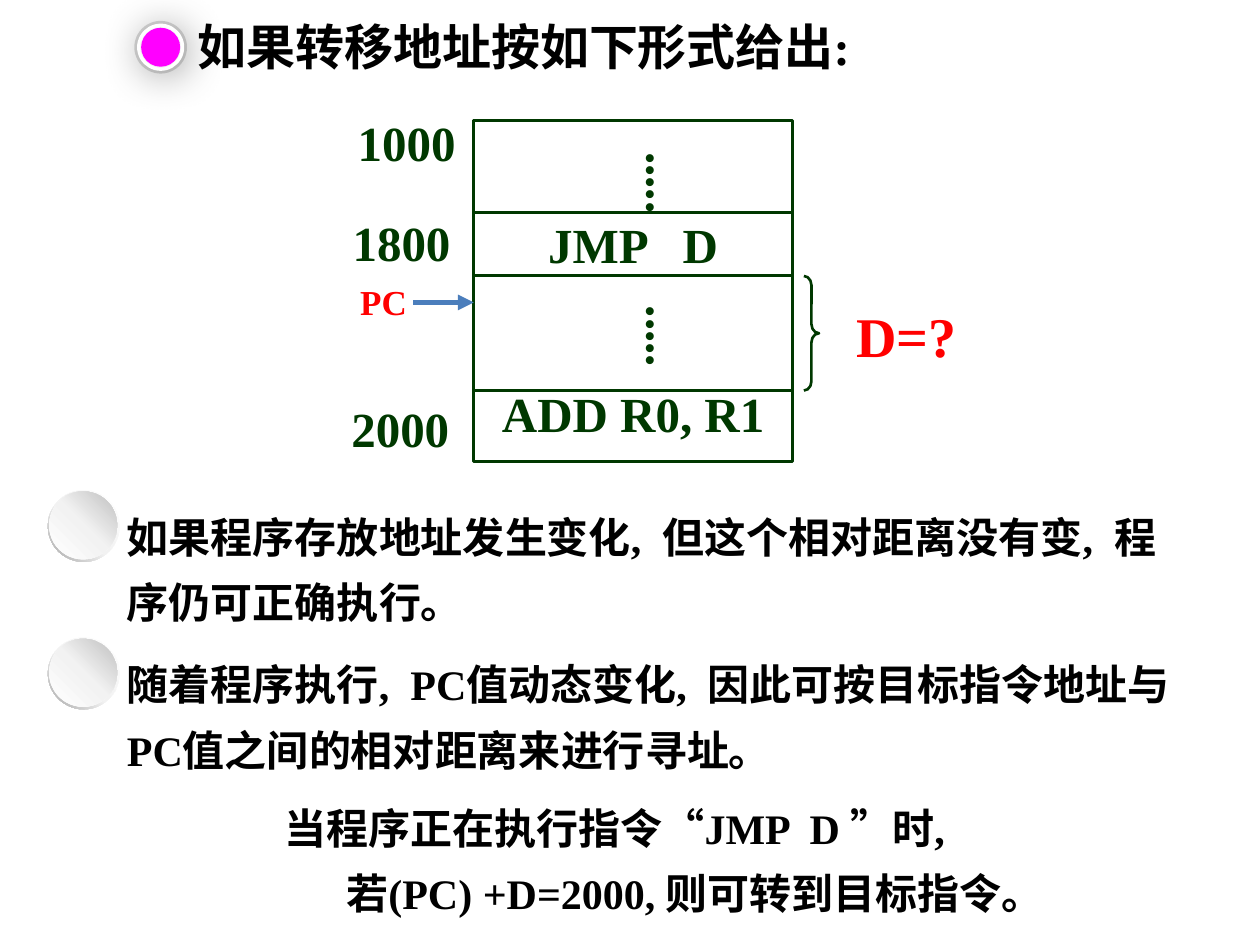
from dataclasses import dataclass

from lxml.etree import SubElement
from pptx import Presentation
from pptx.dml.color import RGBColor
from pptx.enum.shapes import MSO_CONNECTOR, MSO_SHAPE
from pptx.enum.text import MSO_ANCHOR, PP_ALIGN
from pptx.oxml import parse_xml
from pptx.oxml.ns import nsdecls, qn
from pptx.util import Inches, Pt


@dataclass(frozen=True)
class Theme:
    font: str = "Times New Roman"
    ink: str = "000000"
    green: str = "003800"
    red: str = "FF0000"
    blue: str = "4B7EBC"
    magenta: str = "FF00FF"
    white: str = "FFFFFF"
    ring: str = "D9D9D9"
    glow: tuple = ((0, "F6F9FC"), (100, "F2F2F2"))
    rim: tuple = ((0, "FFFFFF"), (55, "F2F2F2"), (100, "A6A6A6"))
    pearl: tuple = ((0, "FFFFFF"), (51, "F2F2F2"), (100, "BFBFBF"))
    title: int = 28
    code: int = 28
    body: int = 24
    question: int = 32
    pointer: int = 20
    stroke: float = 1.75


T = Theme()


def rgb(value):
    return RGBColor.from_string(value)


def style(p, size, color):
    p.font.name, p.font.size, p.font.bold = T.font, Pt(size), True
    p.font.color.rgb = rgb(color)


def add_text(s, box, text, size, color=T.ink, spacing=None):
    tf = s.shapes.add_textbox(*map(Inches, box)).text_frame
    tf.word_wrap = True
    p = tf.paragraphs[0]
    p.text = text
    style(p, size, color)
    if spacing:
        p.line_spacing = spacing
    return tf


def add_shape(s, kind, box, fill=None, line=None, width=T.stroke):
    sp = s.shapes.add_shape(kind, *map(Inches, box))
    sp.shadow.inherit = False
    if fill:
        sp.fill.solid()
        sp.fill.fore_color.rgb = rgb(fill)
    else:
        sp.fill.background()
    if line:
        sp.line.color.rgb = rgb(line)
        sp.line.width = Pt(width)
    else:
        sp.line.fill.background()
    return sp


def add_line(s, start, end, color, width):
    ends = map(Inches, (*start, *end))
    line = s.shapes.add_connector(MSO_CONNECTOR.STRAIGHT, *ends)
    line.line.color.rgb = rgb(color)
    line.line.width = Pt(width)
    SubElement(line._element.spPr, qn("a:effectLst"))
    return line


def set_gradient(sp, stops, angle):
    """Fill with (percent, colour) stops; the angle runs clockwise."""
    gs = "".join(f'<a:gs pos="{pos * 1000}"><a:srgbClr val="{color}"/></a:gs>'
                 for pos, color in stops)
    grad = parse_xml(f'<a:gradFill {nsdecls("a")}><a:gsLst>{gs}</a:gsLst>'
                     f'<a:lin ang="{angle * 60000}" scaled="0"/></a:gradFill>')
    spPr = sp._element.spPr
    spPr.replace(spPr.find(qn("a:noFill")), grad)


def set_shadow(sp, blur, distance, angle, alpha):
    effects = sp._element.spPr.find(qn("a:effectLst"))
    effects.append(parse_xml(
        f'<a:outerShdw {nsdecls("a")} blurRad="{Pt(blur)}" dist="{Pt(distance)}" '
        f'dir="{angle * 60000}" algn="tl" rotWithShape="0">'
        f'<a:srgbClr val="{T.ink}"><a:alpha val="{alpha * 1000}"/></a:srgbClr>'
        '</a:outerShdw>'))


def heading(s, x, y):
    """Magenta button with the title to its right."""
    def disc(inset, **look):
        size = 0.39 - 2 * inset
        return add_shape(s, MSO_SHAPE.OVAL, (x + inset, y + inset, size, size), **look)

    disc(0, line=T.ring, width=2)
    halo = disc(0.02, line=T.white)
    set_gradient(halo, T.glow, 90)
    set_shadow(halo, blur=24, distance=3, angle=45, alpha=39)
    disc(0.04, fill=T.magenta)
    add_text(s, (x + 0.39, y - 0.1, 6.61, 0.57), "如果转移地址按如下形式给出:", T.title)


def memory_map(s, x, y, w, h):
    """Memory block with its addresses, program counter and jump distance."""
    right = x + w
    jump_top, jump_bottom, target_top = y + 0.73, y + 1.23, y + 2.14

    block = add_shape(s, MSO_SHAPE.RECTANGLE, (x, y, w, h), line=T.green)
    tf = block.text_frame
    tf.vertical_anchor = MSO_ANCHOR.TOP
    tf.margin_top = Inches(0.74)
    tf.text = "JMP   D\nADD R0, R1"
    for p in tf.paragraphs:
        style(p, T.code, T.green)
        p.alignment = PP_ALIGN.CENTER
    tf.paragraphs[1].space_before = Pt(63)

    for row in (jump_top, jump_bottom, target_top):
        add_line(s, (x, row), (right, row), T.green, T.stroke)
    for top in (y + 0.15, y + 1.37):
        dots = add_text(s, (x + 1.14, top, 0.67, 0.82), ".....", T.code, T.green)
        dots._txBody.bodyPr.set("vert", "eaVert")

    labels = (("1000", 2.74, 0.84), ("1800", 2.7, 1.64), ("2000", 2.69, 3.11))
    for address, left, top in labels:
        add_text(s, (left, top, 1.05, 0.57), address, T.code, T.green)

    add_text(s, (x - 1, jump_bottom - 0.01, 0.68, 0.44), "PC", T.pointer, T.red)
    arrow = add_line(s, (x - 0.48, y + 1.44), (x, y + 1.44), T.blue, 3)
    SubElement(arrow.line._get_or_add_ln(), qn("a:tailEnd"), type="triangle")

    brace = add_shape(s, MSO_SHAPE.RIGHT_BRACE,
                      (right + 0.09, jump_bottom, 0.12, target_top - jump_bottom),
                      line=T.green, width=1.5)
    brace.adjustments[0], brace.adjustments[1] = 0.61, 0.5
    add_text(s, (right + 0.41, y + 1.38, 1.1, 0.64), "D=?", T.question, T.red)


def remark(s, x, y, w, text):
    """Pearl bullet followed by a two-line remark."""
    add_text(s, (x + 0.53, y, w, 1.09), text, T.body, spacing=1.3)
    rim = add_shape(s, MSO_SHAPE.DONUT, (x, y, 0.57, 0.57))
    rim.adjustments[0] = 0.05
    set_gradient(rim, T.rim, 135)
    pearl = add_shape(s, MSO_SHAPE.OVAL, (x + 0.01, y + 0.01, 0.54, 0.54))
    set_gradient(pearl, T.pearl, 315)


def conclusion(s, box):
    tf = add_text(s, box, "当程序正在执行指令“JMP  D ”时,\v若(PC) +D=2000, 则可转到目标指令。",
                  T.body, spacing=1.3)
    pPr = tf.paragraphs[0]._p.get_or_add_pPr()
    hang = Inches(0.49)
    pPr.set("marL", str(hang))
    pPr.set("indent", str(-hang))


def main():
    prs = Presentation()
    prs.slide_width, prs.slide_height = Inches(10), Inches(7.5)
    s = prs.slides.add_slide(prs.slide_layouts[6])
    heading(s, 1.08, 0.18)
    memory_map(s, 3.76, 0.96, 2.53, 2.7)
    remark(s, 0.38, 3.89, 8.67, "如果程序存放地址发生变化,  但这个相对距离没有变,  程序仍可正确执行。")
    remark(s, 0.38, 5.06, 8.56,
           "随着程序执行,  PC值动态变化,  因此可按目标指令地址与PC值之间的相对距离来进行寻址。")
    conclusion(s, (2.16, 6.2, 7.31, 1.09))
    prs.save("out.pptx")


if __name__ == "__main__":
    main()
